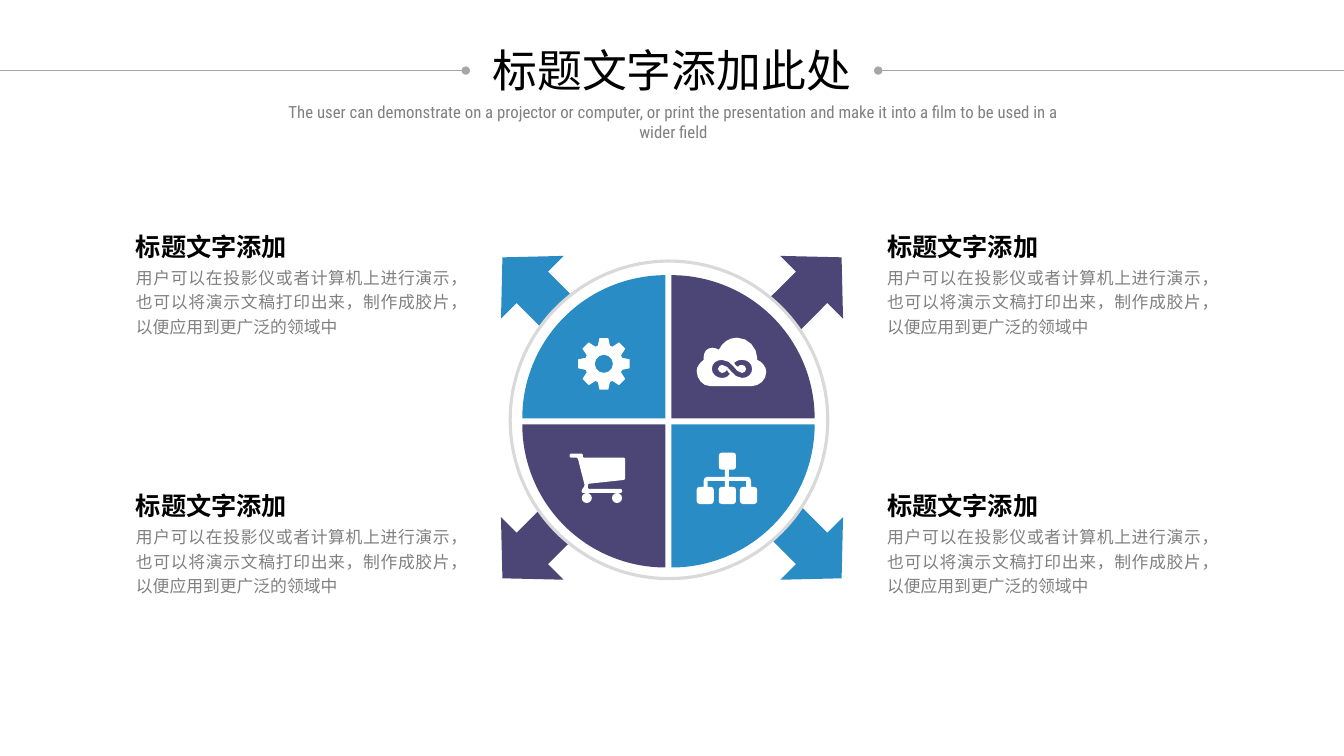
from math import cos, hypot, pi, sin

from lxml.etree import SubElement
from pptx import Presentation
from pptx.dml.color import RGBColor
from pptx.enum.shapes import MSO_CONNECTOR, MSO_SHAPE
from pptx.enum.text import MSO_ANCHOR, MSO_AUTO_SIZE, PP_ALIGN
from pptx.oxml.ns import qn
from pptx.util import Inches, Pt

BLUE, PURPLE, WHITE = "298CC5", "4C4676", "FFFFFF"
BLACK, GREY, RULE, RING = "000000", "808080", "A6A6A6", "D9D9D9"
HEADING = "标题文字添加"
BODY = "用户可以在投影仪或者计算机上进行演示，也可以将演示文稿打印出来，制作成胶片，以便应用到更广泛的领域中"
SUBTITLE = ("The user can demonstrate on a projector or computer, or print the "
            "presentation and make it into a film to be used in a wider field")

CLOUD = ((.69, .34), [
    (.69, .42, .62, .48, .55, .48), (.55, .48, .13, .48, .13, .48),
    (.06, .48, 0, .41, 0, .33), (0, .29, .03, .25, .07, .22),
    (.07, .21, .07, .2, .07, .19), (.07, .14, .1, .1, .16, .1),
    (.18, .1, .2, .11, .22, .12), (.25, .05, .32, 0, .4, 0),
    (.51, 0, .6, .1, .6, .2), (.6, .21, .6, .21, .6, .22),
    (.65, .24, .69, .29, .69, .34)])
INFINITY = ((.25, .4), [
    (.28, .4, .31, .39, .33, .36), (.32, .35, .31, .34, .3, .32),
    (.29, .34, .27, .35, .25, .35), (.24, .35, .21, .33, .21, .31),
    (.21, .29, .24, .27, .25, .27), (.33, .27, .35, .4, .45, .4),
    (.51, .4, .55, .36, .55, .31), (.55, .25, .5, .22, .45, .22),
    (.41, .22, .4, .23, .37, .25), (.38, .27, .39, .28, .41, .29),
    (.41, .28, .43, .27, .45, .27), (.47, .27, .49, .29, .49, .31),
    (.49, .33, .47, .35, .45, .35), (.38, .35, .36, .22, .25, .22),
    (.2, .22, .15, .25, .15, .31), (.15, .36, .2, .4, .25, .4)])
CART = [(.55, .04), (.55, .26), (.18, .3), (.18, .35), (.52, .35), (.52, .39), (.12, .39),
        (.12, .36), (.15, .32), (.08, .04), (0, .04), (0, 0), (.13, 0), (.13, .04)]
BRANCHES = [(.07, .34), (.07, .28), (.08, .25), (.11, .24), (.28, .24), (.28, .17), (.32, .17),
            (.32, .24), (.5, .24), (.53, .25), (.54, .28), (.54, .34), (.49, .34), (.49, .28),
            (.32, .28), (.32, .34), (.28, .34), (.28, .28), (.11, .28), (.11, .34)]


def rgb(hex_string):
    """Turn a hex string into a colour."""
    return RGBColor.from_string(hex_string)


def paint(sp, fill, line=None):
    """Give a shape a flat fill and an optional outline."""
    sp.shadow.inherit = False
    sp.fill.solid()
    sp.fill.fore_color.rgb = rgb(fill)
    if line:
        sp.line.color.rgb = rgb(line)
        sp.line.width = Pt(2.25)
    else:
        sp.line.fill.background()


def add_preset(s, kind, x, y, w, h, fill, rotation=0, line=None):
    """Add a painted preset shape."""
    sp = s.shapes.add_shape(kind, Inches(x), Inches(y), Inches(w), Inches(h))
    sp.rotation = rotation
    paint(sp, fill, line)


def write(sp, text, size, font, color, align, bold=False, spacing=None, wrap=True):
    """Fill a text shape with one formatted paragraph."""
    tf = sp.text_frame
    tf.word_wrap = wrap
    tf.auto_size = MSO_AUTO_SIZE.SHAPE_TO_FIT_TEXT
    tf.vertical_anchor = MSO_ANCHOR.TOP
    p = tf.paragraphs[0]
    p.text, p.alignment = text, align
    if spacing:
        p.line_spacing = spacing
    p.font.size, p.font.name, p.font.bold = Pt(size), font, bold
    p.font.color.rgb = rgb(color)


def circle(cx, cy, radius):
    """Return points around a circle."""
    return [(cx + radius * cos(i * pi / 6), cy + radius * sin(i * pi / 6)) for i in range(12)]


def curve(start, segments):
    """Sample a chain of cubic curves, more finely where they are long."""
    points = [start]
    for x1, y1, x2, y2, x3, y3 in segments:
        x0, y0 = points[-1]
        steps = 1 if y0 == y3 else min(4, 1 + int(hypot(x3 - x0, y3 - y0) / .04))
        for t in (i / steps for i in range(1, steps + 1)):
            a, b, c, d = (1 - t) ** 3, 3 * t * (1 - t) ** 2, 3 * t * t * (1 - t), t ** 3
            points.append((a * x0 + b * x1 + c * x2 + d * x3, a * y0 + b * y1 + c * y2 + d * y3))
    return points


def softened(corners, radius, steps=1):
    """Cut the corners of a polygon."""
    cuts = []
    for i, (x, y) in enumerate(corners):
        ends = []
        for nx, ny in (corners[i - 1], corners[(i + 1) % len(corners)]):
            k = min(radius / hypot(nx - x, ny - y), .5)
            ends.append((x + k * (nx - x), y + k * (ny - y)))
        (ax, ay), (bx, by) = ends
        for t in (j / steps for j in range(steps + 1)):
            u = 1 - t
            cuts.append((u * u * ax + 2 * u * t * x + t * t * bx,
                         u * u * ay + 2 * u * t * y + t * t * by))
    return cuts


def box(x, y, size):
    """Return the outline of a rounded square."""
    return softened([(x, y), (x + size, y), (x + size, y + size), (x, y + size)], .03, 2)


def gear():
    """Return the outlines of an eight-tooth gear and its hole."""
    teeth = []
    for i in range(8):
        for angle, radius in ((-.32, .19), (-.17, .26), (.17, .26), (.32, .19)):
            a = i * pi / 4 + angle
            teeth.append((.26 + radius * cos(a), .26 + radius * sin(a)))
    return [teeth, circle(.26, .26, .09)]


def add_icon(s, x, y, outlines):
    """Draw a white icon from closed outlines at a corner point."""
    first, *others = [[(px * 1000, py * 1000) for px, py in line] for line in outlines]
    fb = s.shapes.build_freeform(*first[0], scale=Inches(1) / 1000)
    fb.add_line_segments(first[1:], close=True)
    for line in others:
        fb.move_to(*line[0])
        fb.add_line_segments(line[1:], close=True)
    paint(fb.convert_to_shape(Inches(x), Inches(y)), WHITE)


def add_rule(s, x1, x2, y, dotted_end):
    """Add a thin heading rule with a dot on one end."""
    cx = s.shapes.add_connector(MSO_CONNECTOR.STRAIGHT, Inches(x1), Inches(y), Inches(x2), Inches(y))
    cx.line.color.rgb = rgb(RULE)
    cx.line.width = Pt(.5)
    SubElement(cx.line._get_or_add_ln(), qn(dotted_end)).set("type", "oval")
    SubElement(cx._element.spPr, qn("a:effectLst"))


def add_header(s, x, y, w):
    """Place the title, its side rules and the subtitle in a band."""
    add_rule(s, x, x + 4.62, y + .33, "a:tailEnd")
    add_rule(s, x + w - 4.62, x + w, y + .33, "a:headEnd")
    title = s.shapes.title
    title.left, title.top = Inches(x + 4.77), Inches(y)
    title.width, title.height = Inches(3.79), Inches(.64)
    write(title, "标题文字添加此处", 32, "Roboto Condensed", BLACK, PP_ALIGN.CENTER, wrap=False)
    sp = s.shapes.add_textbox(Inches(x + 2.75), Inches(y + .59), Inches(7.86), Inches(.3))
    write(sp, SUBTITLE, 12, "Roboto Condensed", GREY, PP_ALIGN.CENTER)


def add_wheel(s, x, y):
    """Place the arrows, ring, quarters and icons from a corner point."""
    quarters = [(0, 0, 0, BLUE), (1, 0, 90, PURPLE), (1, 1, 180, BLUE), (0, 1, 270, PURPLE)]
    for col, row, turn, color in quarters:
        add_preset(s, MSO_SHAPE.UP_ARROW, x + col * 2.77, y + row * 2.59, .88, .84,
                   color, (turn + 315) % 360)
    add_preset(s, MSO_SHAPE.OVAL, x + .22, y + .16, 3.15, 3.15, WHITE, line=RING)
    for col, row, turn, color in quarters:
        add_preset(s, MSO_SHAPE.PIE_WEDGE, x + .34 + col * 1.48, y + .3 + row * 1.48,
                   1.42, 1.42, color, turn)
    add_icon(s, x + .89, y + .92, gear())
    add_icon(s, x + 2.07, y + .92, [curve(*CLOUD), curve(*INFINITY)])
    add_icon(s, x + .81, y + 2.07, [softened(CART, .01), circle(.17, .44, .05), circle(.47, .44, .05)])
    boxes = [box(bx, by, .17) for bx, by in ((.22, 0), (0, .34), (.22, .34), (.43, .34))]
    add_icon(s, x + 2.07, y + 2.06, [BRANCHES, *boxes])


def add_caption(s, x, y):
    """Place a heading and its description."""
    sp = s.shapes.add_textbox(Inches(x), Inches(y + .38), Inches(3.32), Inches(.83))
    write(sp, BODY, 12, "Arial", GREY, PP_ALIGN.JUSTIFY, spacing=1.2)
    sp = s.shapes.add_textbox(Inches(x), Inches(y), Inches(2.28), Inches(.47))
    write(sp, HEADING, 18, "Arial", BLACK, PP_ALIGN.JUSTIFY, bold=True, spacing=1.2)


def main():
    """Build and save the slide."""
    prs = Presentation()
    prs.slide_width, prs.slide_height = Inches(13.33), Inches(7.5)
    s = prs.slides.add_slide(prs.slide_layouts[5])
    add_wheel(s, 4.84, 2.43)
    add_header(s, 0, .37, 13.33)
    for x in (1.25, 8.7):
        for y in (2.19, 4.76):
            add_caption(s, x, y)
    prs.save("out.pptx")


if __name__ == "__main__":
    main()
